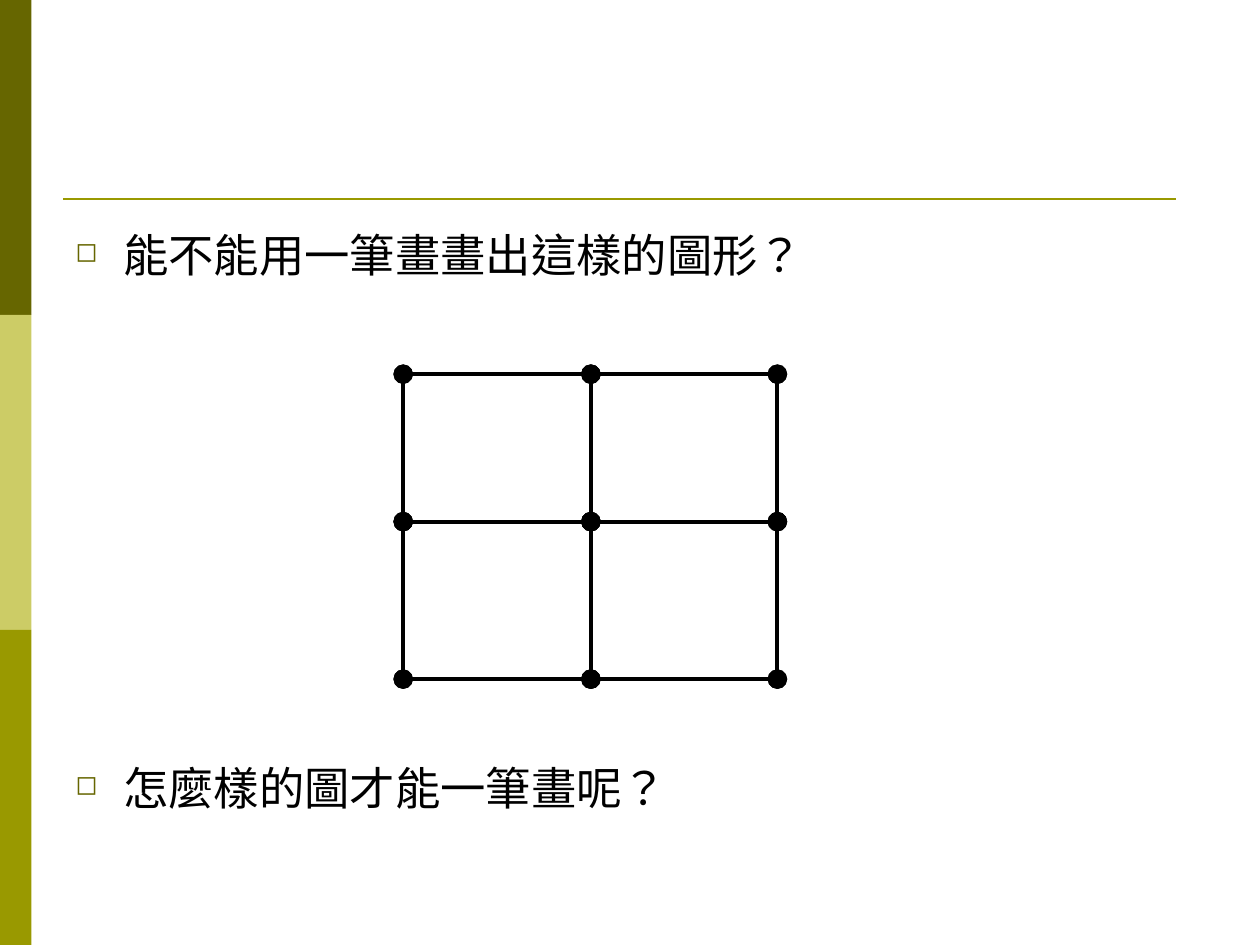
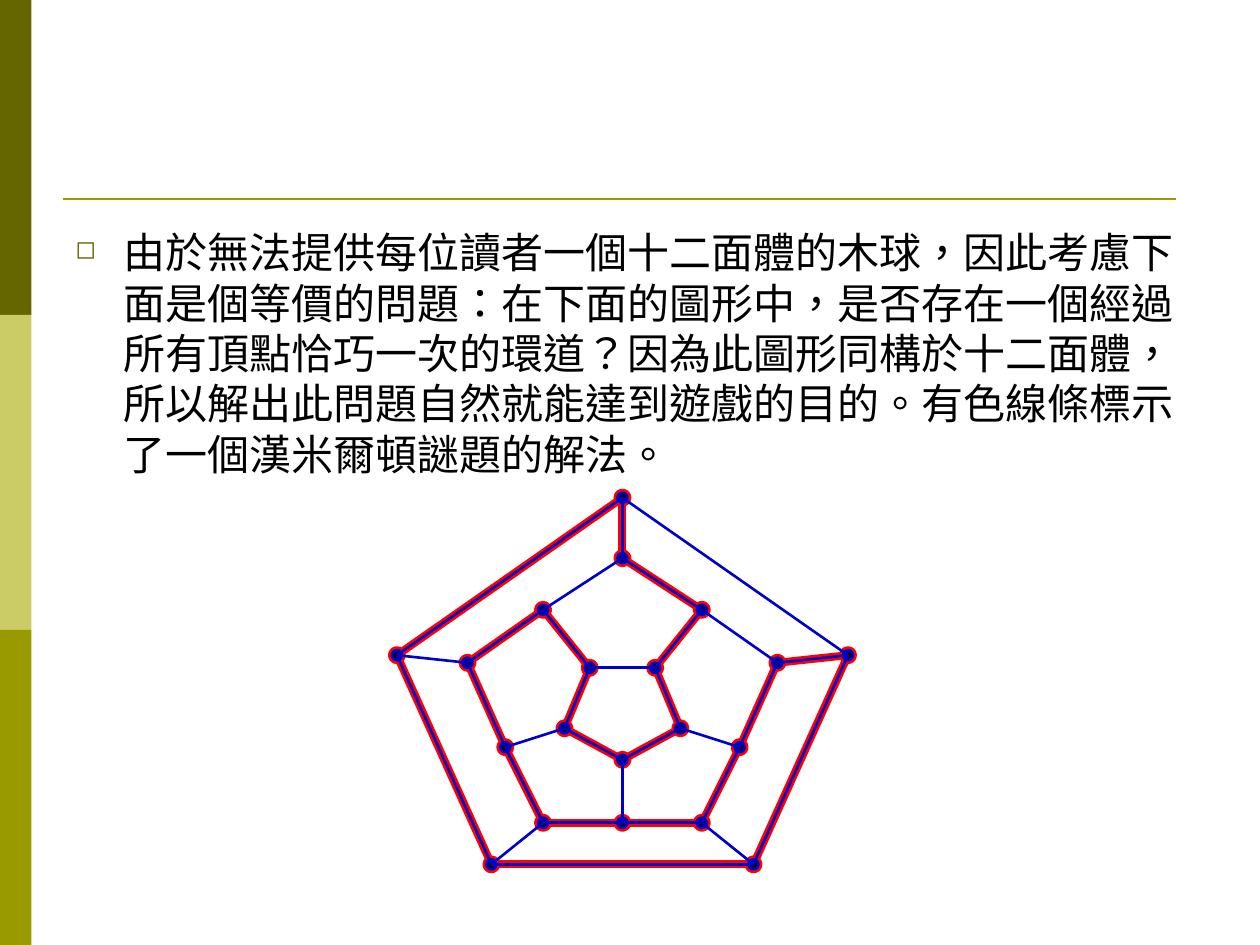
"""Build two slides on one-stroke drawings and the Hamiltonian puzzle."""
from itertools import pairwise, product

from pptx import Presentation
from pptx.dml.color import RGBColor
from pptx.enum.lang import MSO_LANGUAGE_ID as LANGUAGE
from pptx.enum.shapes import MSO_CONNECTOR as LINK, MSO_SHAPE as SHAPE
from pptx.oxml.ns import qn
from pptx.util import Inches, Pt
from lxml.etree import SubElement

OLIVE = RGBColor(0x66, 0x66, 0x00)
PALE = RGBColor(0xCC, 0xCC, 0x66)
MOSS = RGBColor(0x99, 0x99, 0x00)
BLACK = RGBColor(0, 0, 0)
RED = RGBColor(0xFF, 0, 0)
BLUE = RGBColor(0, 0, 0xCC)
FONT = "Times New Roman"

WIDTH, HEIGHT = 10, 7.5
BANDS = [OLIVE, PALE, MOSS]
BAND_WIDTH = WIDTH / 40
RULE_START, RULE_END = (0.5, 1.58), (9.33, 1.58)
BODY_LEFT, BODY_TOP, BODY_WIDTH = 0.5, 1.75, 9
HANGING = 0.38

QUESTIONS = [("能不能用一筆畫畫出這樣的圖形？", 7), ("怎麼樣的圖才能一筆畫呢？", 273.5)]
PUZZLE = [("由於無法提供每位讀者一個十二面體的木球，因此考慮下面是個等價的問題："
           "在下面的圖形中，是否存在一個經過所有頂點恰巧一次的環道？"
           "因為此圖形同構於十二面體，所以解出此問題自然就能達到遊戲的目的。"
           "有色線條標示了一個漢米爾頓謎題的解法。", 6)]

GRID_COLUMNS = [3.2, 4.69, 6.17]
GRID_ROWS = [2.97, 4.14, 5.39]

AXIS = 4.94
DOT = 0.08
RIGHT_HALVES = {
    "outer": [(0, 3.95), (1.79, 5.2), (1.04, 6.86)],
    "middle": [(0, 4.43), (0.63, 4.84), (1.23, 5.26),
               (0.93, 5.93), (0.63, 6.53), (0, 6.53)],
    "inner": [(0.26, 5.3), (0.46, 5.78), (0, 6.03)],
}
TOUR_STRETCHES = [
    ("outer", [0]),
    ("middle", [0, 1]),
    ("inner", [0, 1, 2, 3, 4]),
    ("middle", [9, 8, 7, 6, 5, 4, 3, 2]),
    ("outer", [1, 2, 3, 4]),
]


def closed(walk):
    """Return the edges of a walk that comes back to its start."""
    return list(pairwise(walk + walk[:1]))


def place_vertices():
    """Mirror each ring's right half, numbering clockwise from the top."""
    vertices = {}
    for ring, half in RIGHT_HALVES.items():
        mirrored = [(-offset, y) for offset, y in reversed(half) if offset]
        for number, (offset, y) in enumerate(half + mirrored):
            vertices[ring, number] = (AXIS + offset, y)
    return vertices


def join_rings(vertices):
    """Close every ring, then tie even and odd middle vertices out and in."""
    edges = []
    for ring in RIGHT_HALVES:
        edges += closed([vertex for vertex in vertices if vertex[0] == ring])
    for number in range(5):
        edges.append((("outer", number), ("middle", 2 * number)))
        edges.append((("inner", number), ("middle", 2 * number + 1)))
    return edges


def add_line(shapes, start, end, color, weight, dotted_ends=False):
    line = shapes.add_connector(LINK.STRAIGHT, *map(Inches, start + end))
    line.line.color.rgb = color
    line.line.width = Pt(weight)
    if dotted_ends:
        for tip in ("a:headEnd", "a:tailEnd"):
            SubElement(line.get_or_add_ln(), qn(tip),
                       type="oval", w="lg", len="lg")
    SubElement(line._element.spPr, qn("a:effectLst"))


def add_filled(shapes, kind, box, fill):
    filled = shapes.add_shape(kind, *map(Inches, box))
    filled.shadow.inherit = False
    filled.fill.solid()
    filled.fill.fore_color.rgb = fill
    filled.line.fill.background()
    return filled


def add_bullet(paragraph):
    properties = paragraph._p.get_or_add_pPr()
    properties.set("marL", str(Inches(HANGING)))
    properties.set("indent", str(-Inches(HANGING)))
    color = SubElement(properties, qn("a:buClr"))
    SubElement(color, qn("a:srgbClr"), val=str(OLIVE))
    SubElement(properties, qn("a:buSzPct"), val="60000")
    SubElement(properties, qn("a:buChar"), char="◻")


def add_body(shapes, items, height, size):
    box = (BODY_LEFT, BODY_TOP, BODY_WIDTH, height)
    frame = shapes.add_textbox(*map(Inches, box)).text_frame
    frame.word_wrap = True
    for index, (text, gap) in enumerate(items):
        paragraph = frame.add_paragraph() if index else frame.paragraphs[0]
        paragraph.text = text
        paragraph.runs[0].font.language_id = LANGUAGE.TRADITIONAL_CHINESE
        add_bullet(paragraph)
        paragraph.space_before = Pt(gap)
        paragraph.font.size = Pt(size)
        paragraph.font.name = FONT
        paragraph.font.color.rgb = BLACK


def add_framed_slide(deck):
    shapes = deck.slides.add_slide(deck.slide_layouts[6]).shapes
    band_height = HEIGHT / len(BANDS)
    for index, color in enumerate(BANDS):
        box = (0, index * band_height, BAND_WIDTH, band_height)
        add_filled(shapes, SHAPE.RECTANGLE, box, color)
    add_line(shapes, RULE_START, RULE_END, MOSS, 1.5)
    return shapes


def add_square_grid(shapes):
    across = [((left, y), (right, y)) for (left, right), y
              in product(pairwise(GRID_COLUMNS), GRID_ROWS)]
    down = [((x, top), (x, bottom)) for x, (top, bottom)
            in product(GRID_COLUMNS, pairwise(GRID_ROWS))]
    for start, end in across + down:
        add_line(shapes, start, end, BLACK, 2.25, dotted_ends=True)


def add_graph(shapes, vertices, edges, color, weight, dot_fill):
    layer = shapes.add_group_shape().shapes
    for x, y in vertices.values():
        box = (x - DOT / 2, y - DOT / 2, DOT, DOT)
        dot = add_filled(layer, SHAPE.OVAL, box, dot_fill)
        dot.line.color.rgb = color
        dot.line.width = Pt(weight)
    for start, end in edges:
        add_line(layer, vertices[start], vertices[end], color, weight)


def main():
    deck = Presentation()
    deck.slide_width, deck.slide_height = Inches(WIDTH), Inches(HEIGHT)

    one_stroke = add_framed_slide(deck)
    add_body(one_stroke, QUESTIONS, 4.95, 25.9)
    add_square_grid(one_stroke)

    hamilton = add_framed_slide(deck)
    add_body(hamilton, PUZZLE, 2.39, 24)
    vertices = place_vertices()
    tour = [(ring, number) for ring, numbers in TOUR_STRETCHES
            for number in numbers]
    add_graph(hamilton, vertices, closed(tour), RED, 4.5, RED)
    add_graph(hamilton, vertices, join_rings(vertices), BLUE, 1.5, BLACK)

    deck.save("out.pptx")


if __name__ == "__main__":
    main()
